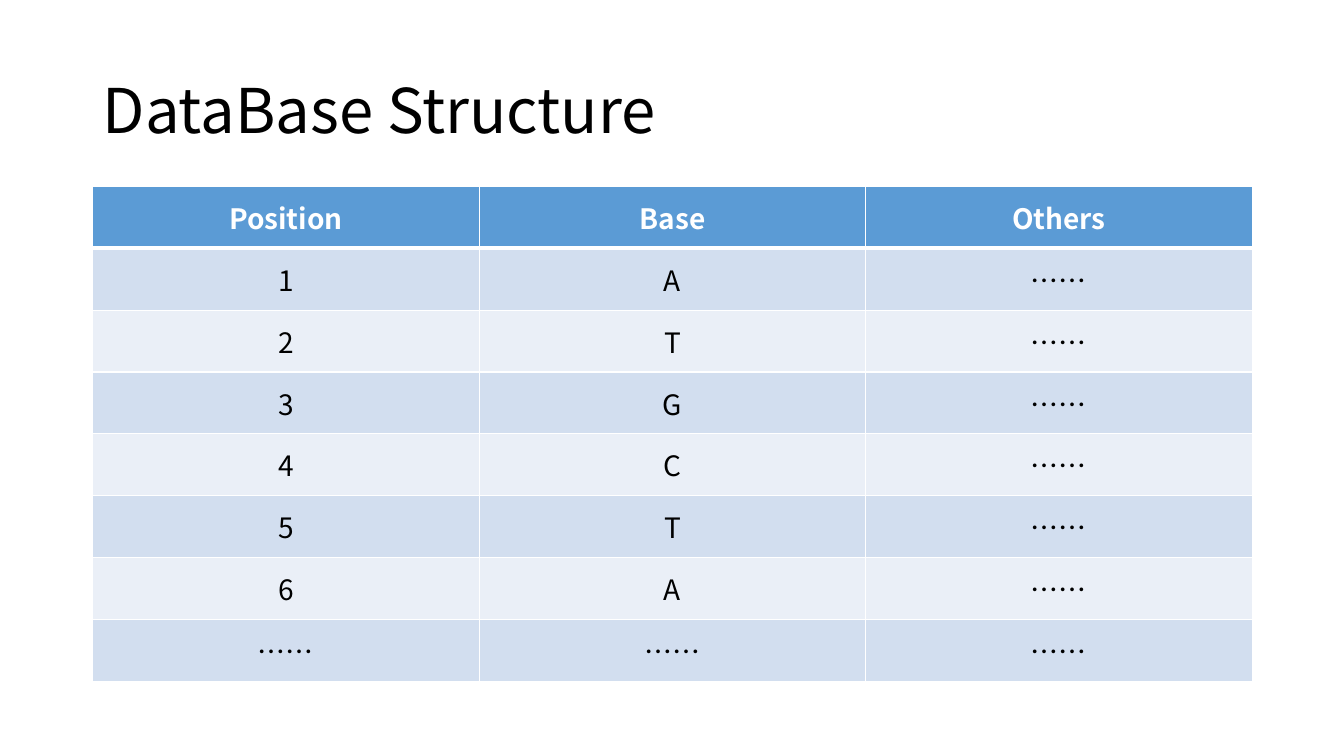
from dataclasses import dataclass

from lxml import etree
from pptx import Presentation
from pptx import util as u
from pptx.dml import color
from pptx.enum import text
from pptx.oxml import ns

FONT = "Noto Sans CJK SC"
LEFT, WIDTH = 0.92, 11.5
ROW_HEIGHT = 4.91 / 8
THIN, THICK = 1, 3
HEADER = ("Position", "Base", "Others")
BASES = "ATGCTA"


@dataclass(frozen=True)
class RowStyle:
    fill: str
    font_color: str
    bold: bool
    top: int = THIN
    bottom: int = THIN


@dataclass(frozen=True)
class TableRow:
    values: tuple[str, ...]
    style: RowStyle


HEADER_STYLE = RowStyle("5B9BD5", "FFFFFF", True, bottom=THICK)
FIRST_STYLE = RowStyle("D2DEEF", "000000", False, top=THICK)
BAND_STYLES = (RowStyle("D2DEEF", "000000", False), RowStyle("EAEFF7", "000000", False))


def rgb(value: str) -> color.RGBColor:
    return color.RGBColor.from_string(value)


def apply_format(target, values: dict) -> None:
    for name, value in values.items():
        setattr(target, name, value)


def write_text(paragraph, content: str, size: float, font_color: str, bold: bool = False) -> None:
    run = paragraph.add_run()
    run.text = content
    apply_format(run.font, {"name": FONT, "size": u.Pt(size), "bold": bold})
    run.font.color.rgb = rgb(font_color)
    properties = run._r.get_or_add_rPr()
    etree.SubElement(properties, ns.qn("a:ea"), typeface=FONT)


def set_borders(cell, style: RowStyle) -> None:
    """Draw white lines; they must precede the fill in the cell properties."""
    widths = {"L": THIN, "R": THIN, "T": style.top, "B": style.bottom}
    properties = cell._tc.get_or_add_tcPr()
    for index, (side, width) in enumerate(widths.items()):
        line = etree.Element(ns.qn(f"a:ln{side}"), w=str(u.Pt(width)))
        fill = etree.SubElement(line, ns.qn("a:solidFill"))
        etree.SubElement(fill, ns.qn("a:srgbClr"), val="FFFFFF")
        properties.insert(index, line)


def add_title(slide, content: str) -> None:
    box = slide.shapes.add_textbox(
        u.Inches(LEFT), u.Inches(0.4), u.Inches(WIDTH), u.Inches(1.45))
    frame = box.text_frame
    apply_format(frame, {"word_wrap": True, "vertical_anchor": text.MSO_ANCHOR.MIDDLE})
    frame.paragraphs[0].line_spacing = 0.9
    write_text(frame.paragraphs[0], content, 44, "000000")


def fill_cell(cell, content: str, style: RowStyle) -> None:
    cell.fill.solid()
    cell.fill.fore_color.rgb = rgb(style.fill)
    set_borders(cell, style)
    cell.vertical_anchor = text.MSO_ANCHOR.MIDDLE
    paragraph = cell.text_frame.paragraphs[0]
    paragraph.alignment = text.PP_ALIGN.CENTER
    write_text(paragraph, content, 20, style.font_color, style.bold)


def structure_rows() -> list[TableRow]:
    records = [(str(position), base, "……") for position, base in enumerate(BASES, 1)]
    records.append(("……",) * len(HEADER))
    rows = [TableRow(HEADER, HEADER_STYLE)]
    for index, record in enumerate(records):
        style = BAND_STYLES[index % 2] if index else FIRST_STYLE
        rows.append(TableRow(record, style))
    return rows


def add_structure_table(slide, rows: list[TableRow]) -> None:
    table = slide.shapes.add_table(
        len(rows), len(HEADER), u.Inches(LEFT), u.Inches(1.85),
        u.Inches(WIDTH), u.Inches(ROW_HEIGHT * len(rows))).table
    for row_index, row in enumerate(rows):
        for column_index, value in enumerate(row.values):
            fill_cell(table.cell(row_index, column_index), value, row.style)


def main() -> None:
    presentation = Presentation()
    apply_format(presentation, {"slide_width": u.Inches(13.33), "slide_height": u.Inches(7.5)})
    slide = presentation.slides.add_slide(presentation.slide_layouts[6])
    add_title(slide, "DataBase Structure")
    add_structure_table(slide, structure_rows())
    presentation.save("out.pptx")


if __name__ == "__main__":
    main()
